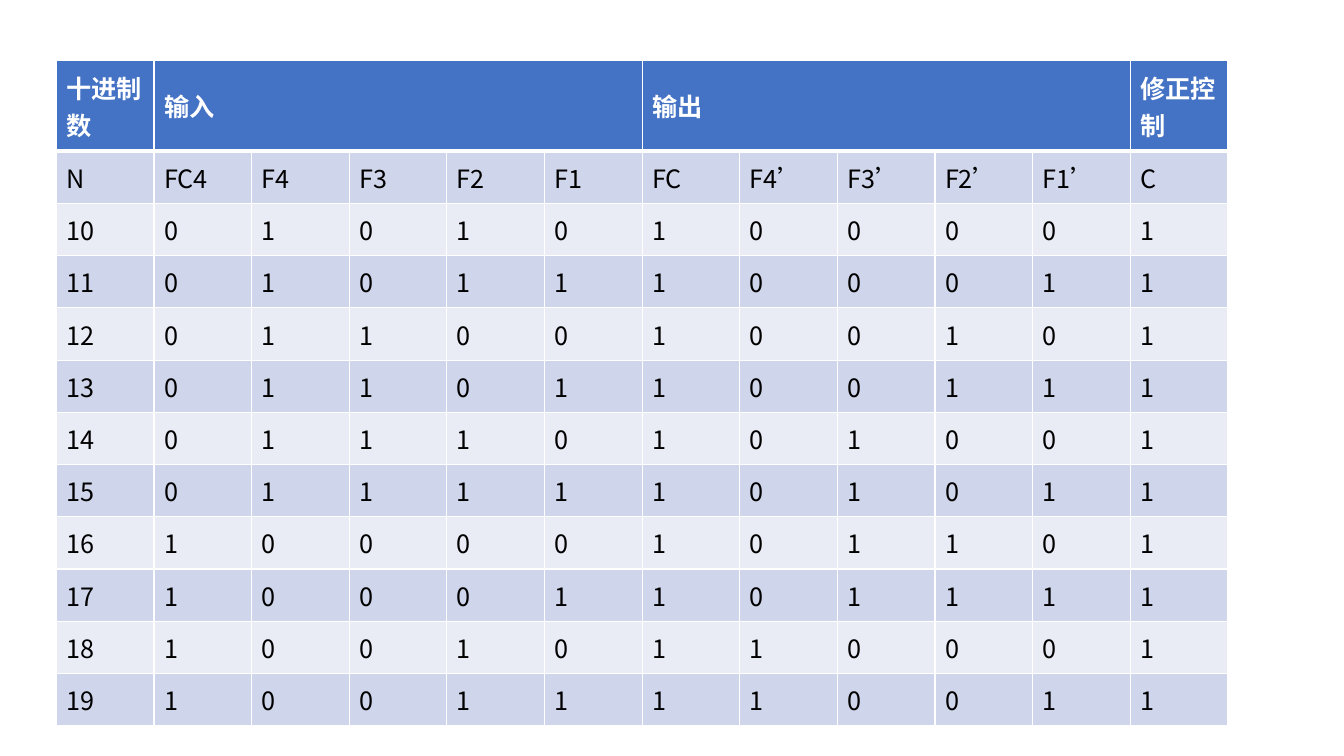
from typing import NamedTuple

from lxml import etree
from pptx import Presentation
from pptx.dml.color import RGBColor
from pptx.enum.text import MSO_ANCHOR
from pptx.oxml.ns import qn
from pptx.table import _Cell
from pptx.util import Inches, Pt

MIDDLE = MSO_ANCHOR.MIDDLE
WHITE = RGBColor(0xFF, 0xFF, 0xFF)
BLACK = RGBColor(0x00, 0x00, 0x00)
BLUE = RGBColor(0x44, 0x72, 0xC4)
BAND_DARK = RGBColor(0xCF, 0xD5, 0xEA)
BAND_LIGHT = RGBColor(0xE9, 0xEB, 0xF5)
FONT = "Noto Sans CJK SC"

LEFT, TOP, WIDTH, HEIGHT = Inches(0.56), Inches(0.6), Inches(11.62), Inches(6.6)
HEADER_HEIGHT = Inches(0.9)


class Group(NamedTuple):
    title: str
    labels: list[str]


GROUPS = [
    Group("十进制数", ["N"]),
    Group("输入", ["FC4", "F4", "F3", "F2", "F1"]),
    Group("输出", ["FC", "F4’", "F3’", "F2’", "F1’"]),
    Group("修正控制", ["C"]),
]


def truth_row(n: int) -> list[str]:
    return [str(n), *f"{n:05b}", "1", *f"{n - 10:04b}", "1"]


def set_borders(cell: _Cell, top: float, bottom: float) -> None:
    tc_pr = cell._tc.get_or_add_tcPr()
    for side, width in (("L", 1), ("R", 1), ("T", top), ("B", bottom)):
        ln = etree.SubElement(tc_pr, qn(f"a:ln{side}"), w=str(Pt(width)))
        fill = etree.SubElement(ln, qn("a:solidFill"))
        etree.SubElement(fill, qn("a:srgbClr"), val=str(WHITE))


def style_cell(cell: _Cell, row: int) -> None:
    set_borders(cell, 3 if row == 1 else 1, 3 if row == 0 else 1)
    cell.fill.solid()
    cell.fill.fore_color.rgb = BLUE if row == 0 else BAND_DARK if row % 2 else BAND_LIGHT
    cell.vertical_anchor = MIDDLE


def add_text(cell: _Cell, text: str, color: RGBColor, bold: bool) -> None:
    r = cell.text_frame.paragraphs[0].add_run()
    r.text = text
    r.font.name = FONT
    r.font.size = Pt(18)
    r.font.bold = bold
    r.font.color.rgb = color
    etree.SubElement(r.font._element, qn("a:ea"), typeface=FONT)


def main() -> None:
    prs = Presentation()
    prs.slide_width, prs.slide_height = Inches(13.33), Inches(7.5)
    s = prs.slides.add_slide(prs.slide_layouts[6])

    labels = [label for group in GROUPS for label in group.labels]
    body = [labels] + [truth_row(n) for n in range(10, 20)]
    table = s.shapes.add_table(
        len(body) + 1, len(labels), LEFT, TOP, WIDTH, HEIGHT
    ).table
    for column in table.columns:
        column.width = WIDTH // len(labels)
    for i, row in enumerate(table.rows):
        row.height = (HEIGHT - HEADER_HEIGHT) // len(body) if i else HEADER_HEIGHT
        for cell in row.cells:
            style_cell(cell, i)

    col = 0
    for group in GROUPS:
        cell = table.cell(0, col)
        col += len(group.labels)
        if len(group.labels) > 1:
            cell.merge(table.cell(0, col - 1))
        add_text(cell, group.title, WHITE, True)

    for i, values in enumerate(body, 1):
        for j, value in enumerate(values):
            add_text(table.cell(i, j), value, BLACK, False)

    prs.save("out.pptx")


if __name__ == "__main__":
    main()
